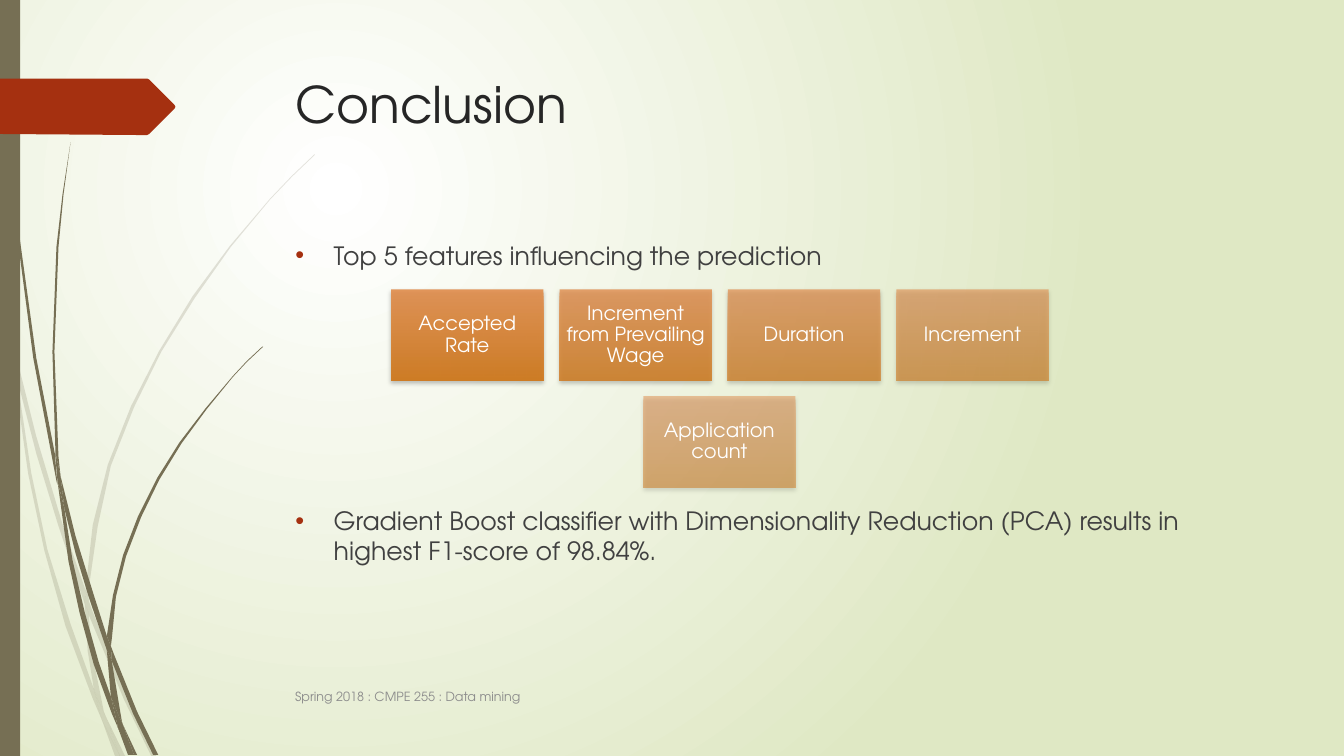
import pptx
import pptx.util
import pptx.dml.color
import pptx.enum.shapes
import pptx.enum.text
import pptx.oxml.ns
from lxml import etree

RGB = pptx.dml.color.RGBColor
ANCHOR = pptx.enum.text.MSO_ANCHOR
ALIGN = pptx.enum.text.PP_ALIGN
qn = pptx.oxml.ns.qn

PX = 9144
FONT = "TeX Gyre Adventor"
WHITE = RGB(0xFF, 0xFF, 0xFF)
SAGE = RGB(0xDF, 0xE8, 0xC4)
OLIVE = RGB(0x76, 0x6F, 0x54)
RUST = RGB(0xA5, 0x30, 0x10)
ORANGE = RGB(0xE1, 0x8D, 0x4C)
AMBER = RGB(0xCF, 0x75, 0x16)
TITLE_INK = RGB(0x26, 0x26, 0x26)
BODY_INK = RGB(0x40, 0x40, 0x40)
FOOTER_INK = RGB(0x8C, 0x8C, 0x8C)

PALE_BLADES = [
    [(11, 350), (9, 322), (0, 282), (0, 299), (10, 344)],
    [(58, 522), (84, 599), (85, 586), (62, 520), (36, 433), (14, 345),
     (17, 376), (36, 450)],
    [(92, 607), (88, 596), (88, 610), (123, 694), (150, 750), (155, 750),
     (127, 692)],
    [(119, 750), (124, 750), (105, 711)],
    [(93, 683), (70, 619), (47, 545), (31, 469), (17, 376), (11, 350),
     (28, 470), (44, 546), (65, 621), (92, 693), (101, 714), (99, 707)],
    [(84, 599), (87, 646), (93, 683), (96, 692), (105, 711), (103, 706),
     (91, 646), (88, 610), (88, 608)],
    [(88, 584), (97, 522), (110, 462), (133, 404), (160, 349), (193, 296),
     (229, 245), (268, 198), (290, 175), (312, 154), (312, 153), (289, 175),
     (268, 197), (228, 244), (191, 294), (158, 348), (130, 403), (107, 461),
     (92, 521), (85, 584), (85, 586), (88, 596)],
    [(101, 714), (114, 750), (119, 750)],
    [(88, 608), (88, 610), (88, 596), (85, 586), (84, 599)],
    [(96, 692), (93, 683), (99, 707), (101, 714), (119, 750), (105, 711)],
]
DARK_BLADES = [
    [(7, 110), (17, 233), (33, 355), (56, 477), (57, 481), (55, 457), (55, 453),
     (36, 355), (19, 232), (8, 109), (5, 48), (4, 0), (3, 0), (4, 48)],
    [(88, 592), (106, 645), (106, 633), (106, 631), (93, 590), (75, 532),
     (60, 472), (64, 505), (75, 549)],
    [(113, 649), (110, 641), (111, 656), (132, 708), (152, 749), (157, 749),
     (136, 706)],
    [(110, 691), (98, 657), (84, 607), (72, 556), (64, 505), (57, 477),
     (68, 557), (79, 608), (93, 659), (111, 708), (117, 722), (116, 717)],
    [(60, 472), (58, 453), (54, 349), (58, 245), (63, 193), (70, 141),
     (62, 193), (56, 245), (52, 349), (55, 449)],
    [(133, 749), (136, 749), (122, 719)],
    [(57, 477), (64, 505), (60, 472), (55, 449), (55, 453)],
    [(111, 633), (115, 592), (125, 552), (140, 513), (158, 476), (180, 440),
     (205, 406), (231, 374), (245, 359), (261, 344), (260, 344), (245, 358),
     (231, 373), (204, 405), (178, 439), (156, 474), (137, 512), (122, 551),
     (112, 591), (106, 631), (110, 641)],
    [(117, 722), (127, 749), (131, 749)],
    [(106, 645), (110, 691), (116, 706), (122, 719), (121, 716), (111, 656),
     (109, 651)],
    [(106, 645), (109, 651), (111, 656), (110, 641), (106, 631), (106, 633)],
    [(116, 706), (110, 691), (116, 717), (117, 722), (130, 749), (133, 749),
     (122, 719)],
]
TITLE_ARROW = [(173, 108), (148, 133), (146, 134), (136, 134), (0, 133), (0, 78),
               (136, 78), (146, 78), (148, 79), (173, 104), (174, 106)]
FEATURES = ["Accepted Rate", "Increment from Prevailing Wage", "Duration",
            "Increment", "Application count"]
POINTS = ["Top 5 features influencing the prediction",
          "Gradient Boost classifier with Dimensionality Reduction (PCA) "
          "results in highest F1-score of 98.84%."]


def px(*values):
    return [v * PX for v in values]


def sub(parent, tag, **attrs):
    return etree.SubElement(parent, qn(tag), {k: str(v) for k, v in attrs.items()})


def write(p, text, size, color, align=ALIGN.LEFT, before=0, spacing=1.0):
    p.alignment = align
    p.space_before = pptx.util.Pt(before)
    p.line_spacing = spacing
    r = p.add_run()
    r.text = text
    r.font.name = FONT
    r.font.size = pptx.util.Pt(size)
    r.font.color.rgb = color


def frame(sp, anchor, inset=None):
    tf = sp.text_frame
    tf.word_wrap = True
    tf.auto_size = pptx.enum.text.MSO_AUTO_SIZE.NONE
    tf.vertical_anchor = anchor
    if inset is not None:
        tf.margin_left = tf.margin_right = tf.margin_top = tf.margin_bottom = inset * PX
    return tf


def place(sp, *box):
    sp.left, sp.top, sp.width, sp.height = px(*box)


def set_gradient(fill, first, last):
    fill.gradient()
    for stop, color, position in zip(fill.gradient_stops, (first, last), (0, 1)):
        stop.color.rgb = color
        stop.position = position


def set_alpha(sp, percent):
    for color in sp.element.spPr.iter(qn("a:srgbClr")):
        sub(color, "a:alpha", val=percent * 1000)


def paint(sp, color):
    sp.shadow.inherit = False
    sp.fill.solid()
    sp.fill.fore_color.rgb = color
    sp.line.fill.background()


def add_background(s):
    set_gradient(s.background.fill, WHITE, SAGE)
    grad = s.element.find(".//" + qn("a:gradFill"))
    grad.remove(grad.find(qn("a:lin")))
    circle = sub(grad, "a:path", path="circle")
    sub(circle, "a:fillToRect", l=50000, t=50000, r=100000, b=100000)


def add_outline(s, points, color, alpha=100):
    builder = s.shapes.build_freeform(*points[0], scale=PX)
    builder.add_line_segments(points[1:], close=True)
    sp = builder.convert_to_shape()
    paint(sp, color)
    if alpha < 100:
        set_alpha(sp, alpha)


def add_block(s, color, *box):
    sp = s.shapes.add_shape(pptx.enum.shapes.MSO_SHAPE.RECTANGLE, *px(*box))
    paint(sp, color)
    return sp


def add_text(s, text, size, color, *box, inset=None, **style):
    tf = frame(s.shapes.add_textbox(*px(*box)), ANCHOR.MIDDLE, inset)
    write(tf.paragraphs[0], text, size, color, **style)


def add_card(s, text, x, y, alpha):
    box = (x, y, 151, 91)
    sp = add_block(s, ORANGE, *box)
    set_gradient(sp.fill, ORANGE, AMBER)
    sp.fill.gradient_angle = 270
    set_alpha(sp, alpha)
    effects = sp.element.spPr.find(qn("a:effectLst"))
    shadow = sub(effects, "a:outerShdw", blurRad=38100, dist=25400, dir=5400000,
                 algn="ctr", rotWithShape=0)
    sub(sub(shadow, "a:srgbClr", val="000000"), "a:alpha", val=25000)
    add_text(s, text, 14, WHITE, *box, inset=6, align=ALIGN.CENTER, spacing=0.9)


def add_bullet(p, text, before):
    write(p, text, 18, BODY_INK, before=before)
    pPr = p._p.get_or_add_pPr()
    pPr.set("marL", str(38 * PX))
    pPr.set("indent", str(-38 * PX))
    sub(sub(pPr, "a:buClr"), "a:srgbClr", val=RUST)
    sub(pPr, "a:buFont", typeface="Arial")
    sub(pPr, "a:buChar", char="•")


def add_title_and_body(s):
    title, body = s.placeholders
    for sp in (title, body):
        sp.element.getparent().append(sp.element)
    place(title, 283, 68, 975, 140)
    write(frame(title, ANCHOR.TOP).paragraphs[0], "Conclusion", 36, TITLE_INK)
    place(body, 283, 233, 975, 413)
    tf = frame(body, ANCHOR.TOP)
    add_bullet(tf.paragraphs[0], POINTS[0], before=10)
    add_bullet(tf.add_paragraph(), POINTS[1], before=168)


def main():
    prs = pptx.Presentation()
    prs.slide_width, prs.slide_height = px(1333, 750)
    s = prs.slides.add_slide(prs.slide_layouts[1])
    add_background(s)
    for points in PALE_BLADES:
        add_outline(s, points, OLIVE, alpha=20)
    for points in DARK_BLADES:
        add_outline(s, points, OLIVE)
    add_block(s, OLIVE, 0, 0, 20, 750)
    add_outline(s, TITLE_ARROW, RUST)
    add_title_and_body(s)
    add_text(s, "Spring 2018 : CMPE 255 : Data mining", 9, FOOTER_INK,
             283, 671, 833, 40)
    for i, text in enumerate(FEATURES):
        row, column = divmod(i, 4)
        x = 388 + 167 * column + 250 * row
        add_card(s, text, x, 287 + 106 * row, 90 - 10 * i)
    prs.save("out.pptx")


if __name__ == "__main__":
    main()
